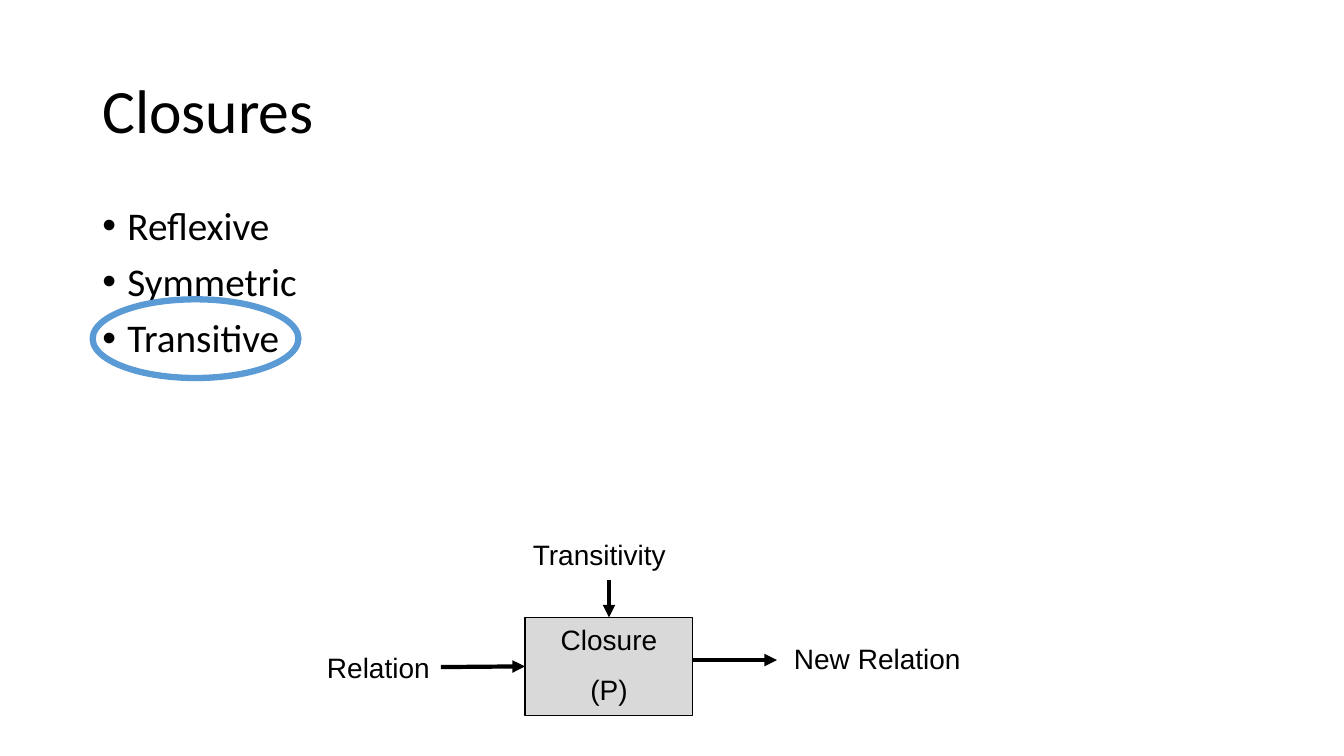
from lxml.etree import SubElement
from pptx import Presentation
from pptx.dml.color import RGBColor
from pptx.enum.shapes import MSO_CONNECTOR, MSO_SHAPE
from pptx.enum.text import MSO_ANCHOR, PP_ALIGN
from pptx.oxml.ns import qn
from pptx.util import Pt

COLORS = {"ink": "000000", "box": "D9D9D9", "highlight": "5B9BD5", "paper": "FFFFFF"}


class SlideBuilder:
    """Holds the style and the current slide; all lengths are in points."""

    heading_font = "Calibri"
    diagram_font = "Arial"
    diagram_size = 20

    def __init__(self, slide):
        self.slide = slide
        slide.background.fill.solid()
        slide.background.fill.fore_color.rgb = self.color("paper")

    def color(self, name):
        return RGBColor.from_string(COLORS[name])

    def add_lines(self, shape, lines, font, size, align=PP_ALIGN.LEFT,
                  line_spacing=None, space_before=None, bullet=None):
        frame = shape.text_frame
        for index, line in enumerate(lines):
            paragraph = frame.add_paragraph() if index else frame.paragraphs[0]
            paragraph.alignment = align
            paragraph.line_spacing = line_spacing
            if space_before is not None:
                paragraph.space_before = Pt(space_before)
            run = paragraph.add_run()
            run.text = line
            run.font.name = font
            run.font.size = Pt(size)
            run.font.color.rgb = self.color("ink")
            if bullet:
                properties = paragraph._p.get_or_add_pPr()
                properties.set("marL", str(Pt(18)))
                properties.set("indent", str(-Pt(18)))
                SubElement(properties, qn("a:buFont")).set("typeface", "Arial")
                SubElement(properties, qn("a:buChar")).set("char", bullet)

    def text(self, left, top, width, height, lines, size, anchor=MSO_ANCHOR.TOP, **style):
        shape = self.slide.shapes.add_textbox(Pt(left), Pt(top), Pt(width), Pt(height))
        shape.text_frame.word_wrap = True
        shape.text_frame.vertical_anchor = anchor
        self.add_lines(shape, lines, self.heading_font, size, line_spacing=0.9, **style)

    def label(self, left, top, width, height, text):
        shape = self.slide.shapes.add_textbox(Pt(left), Pt(top), Pt(width), Pt(height))
        shape.text_frame.word_wrap = False
        self.add_lines(shape, [text], self.diagram_font, self.diagram_size)

    def shape(self, kind, left, top, width, height, line, weight, fill=None, lines=()):
        shape = self.slide.shapes.add_shape(kind, Pt(left), Pt(top), Pt(width), Pt(height))
        shape.shadow.inherit = False
        shape.line.color.rgb = self.color(line)
        shape.line.width = Pt(weight)
        if fill:
            shape.fill.solid()
            shape.fill.fore_color.rgb = self.color(fill)
        else:
            shape.fill.background()
        shape.text_frame.vertical_anchor = MSO_ANCHOR.TOP
        self.add_lines(shape, lines, self.diagram_font, self.diagram_size,
                       align=PP_ALIGN.CENTER, space_before=11.5)

    def arrow(self, start_x, start_y, end_x, end_y):
        connector = self.slide.shapes.add_connector(
            MSO_CONNECTOR.STRAIGHT, Pt(start_x), Pt(start_y), Pt(end_x), Pt(end_y))
        connector.line.color.rgb = self.color("ink")
        connector.line.width = Pt(3)
        properties = connector._element.spPr
        SubElement(properties.find(qn("a:ln")), qn("a:tailEnd")).set("type", "triangle")
        SubElement(properties, qn("a:effectLst"))


def main():
    presentation = Presentation()
    presentation.slide_width, presentation.slide_height = Pt(960), Pt(540)
    builder = SlideBuilder(presentation.slides.add_slide(presentation.slide_layouts[6]))

    # Title and list
    builder.text(66, 28.75, 828, 104.4, ["Closures"], 44, anchor=MSO_ANCHOR.MIDDLE)
    builder.text(66, 143.75, 828, 342.6, ["Reflexive", "Symmetric", "Transitive"], 28,
                 space_before=10, bullet="•")

    # Ring around the last list item
    builder.shape(MSO_SHAPE.OVAL, 66.2, 213.8, 147, 56.2, "highlight", 4.5)

    # Closure box
    left, top, width, height = 375, 441, 120, 70
    right, middle = left + width, left + width / 2
    builder.shape(MSO_SHAPE.RECTANGLE, left, top, width, height, "ink", 0.75,
                  fill="box", lines=["Closure", "(P)"])

    # Arrows into and out of the box
    builder.arrow(left - 60, 476.5, left, 476)
    builder.arrow(right, 471.5, right + 60, 471.5)
    builder.arrow(middle, top - 26.5, middle, top)

    # Diagram labels
    builder.label(560, 455, 134.5, 31.5, "New Relation")
    builder.label(226.5, 461, 88.5, 31.5, "Relation")
    builder.label(373.5, 380.5, 110, 55.5, "Transitivity")

    presentation.save("out.pptx")


if __name__ == "__main__":
    main()
